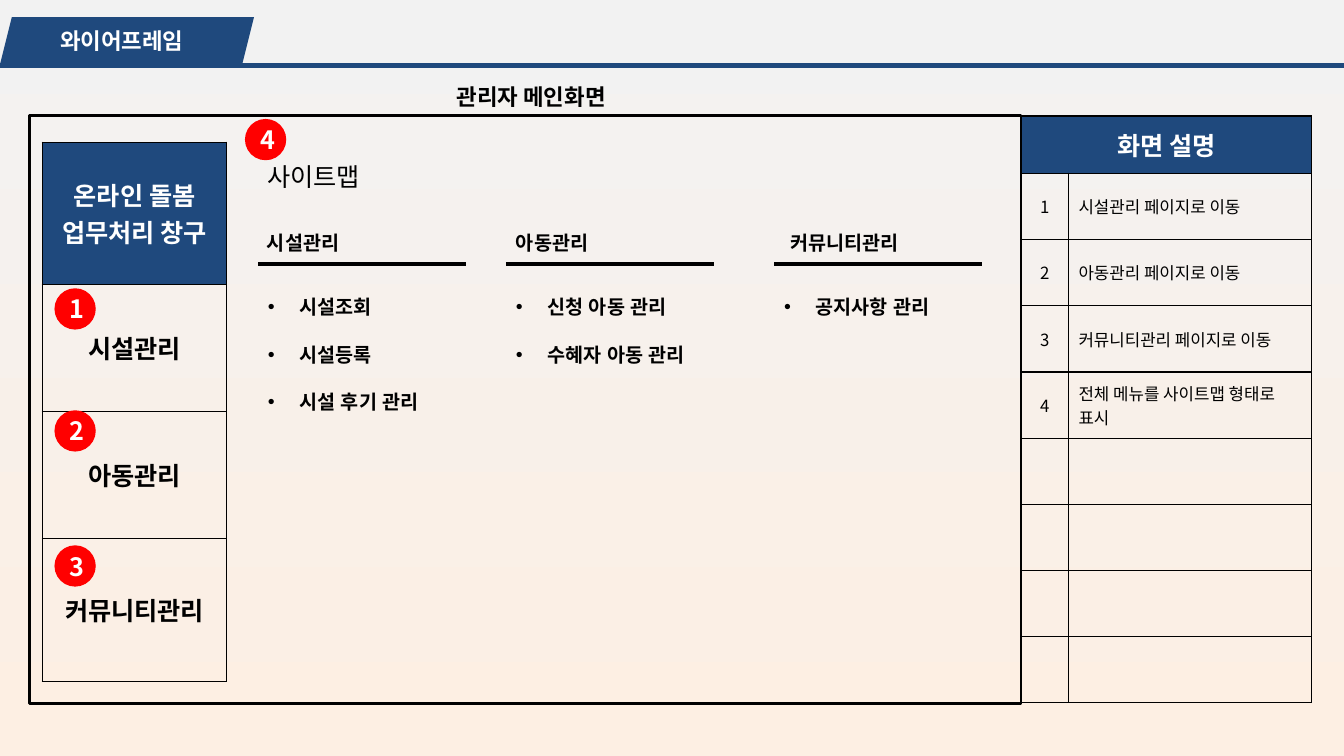
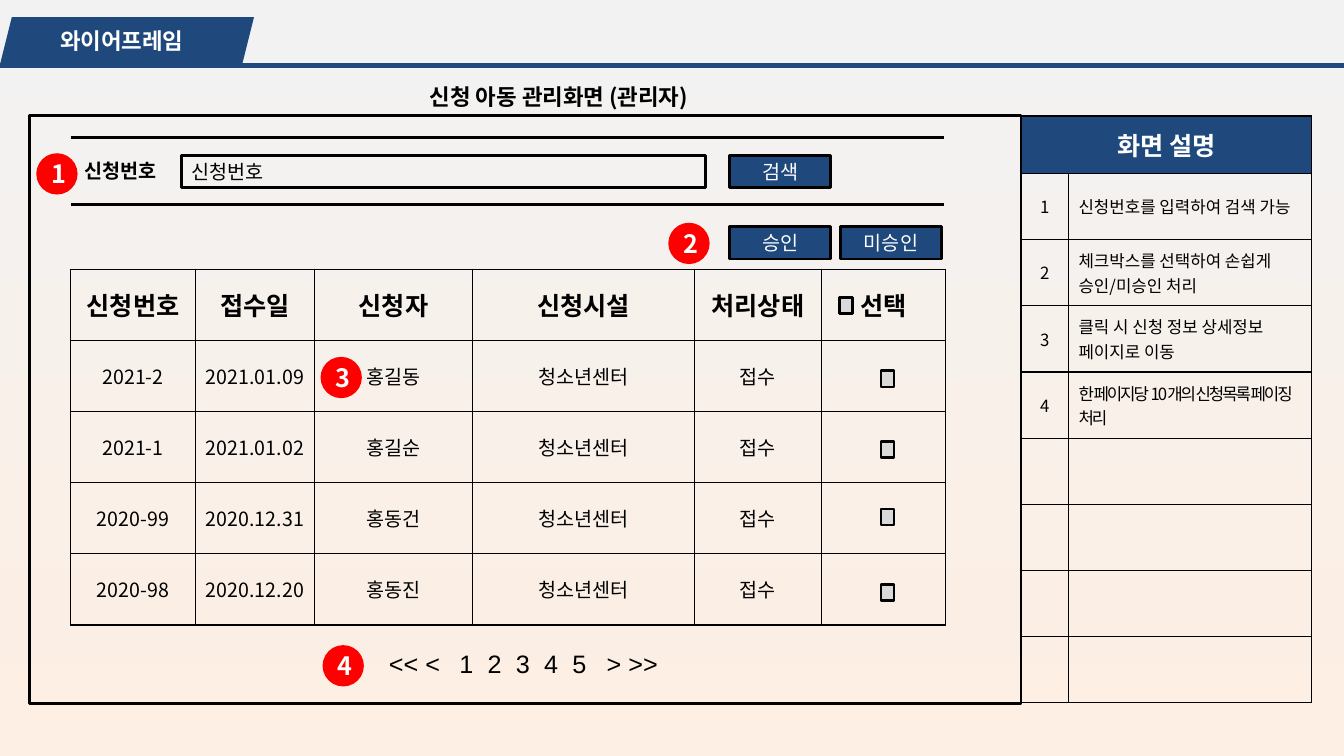
from dataclasses import dataclass
from typing import Any, Optional

import lxml.etree
import pptx
import pptx.dml.color
import pptx.enum.shapes
import pptx.enum.text
import pptx.oxml.ns
import pptx.util

# Colours, fonts and the grid of square cells (ten to the inch)
NAVY = pptx.dml.color.RGBColor(0x1F, 0x49, 0x7D)
RED = pptx.dml.color.RGBColor(0xFF, 0x00, 0x00)
BLACK = pptx.dml.color.RGBColor(0x00, 0x00, 0x00)
WHITE = pptx.dml.color.RGBColor(0xFF, 0xFF, 0xFF)
GREY = pptx.dml.color.RGBColor(0xD9, 0xD9, 0xD9)
SKY = pptx.dml.color.RGBColor(0xF2, 0xF2, 0xF2)
PEACH = pptx.dml.color.RGBColor(0xFD, 0xEF, 0xE3)
KOREAN = "Noto Sans CJK KR"
LATIN = "Arial"
COLUMNS, ROWS = 133.33, 75
TITLE_ONLY = 5

Color = pptx.dml.color.RGBColor
Preset = pptx.enum.shapes.MSO_SHAPE
Align = pptx.enum.text.PP_ALIGN
Anchor = pptx.enum.text.MSO_ANCHOR


@dataclass(frozen=True)
class Area:
    """A rectangle in grid cells."""
    left: float
    top: float
    width: float
    height: float


@dataclass(frozen=True)
class Badge:
    number: int
    left: float
    top: float


@dataclass(frozen=True)
class MenuColumn:
    heading: str
    left: float
    heading_left: float
    items: tuple[str, ...]


@dataclass(frozen=True)
class Screen:
    title: str
    title_width: float
    notes: tuple[str, ...]
    tight_note: Optional[int] = None


def cells(count: float) -> pptx.util.Length:
    return pptx.util.Inches(count / 10)


def place(area: Area) -> tuple[pptx.util.Length, ...]:
    return tuple(cells(v) for v in (area.left, area.top, area.width, area.height))


def child(parent: Any, tag: str, **attributes: str) -> Any:
    node = lxml.etree.SubElement(parent, pptx.oxml.ns.qn(tag))
    for name, value in attributes.items():
        node.set(name, value)
    return node


# Text
def write(para: Any, text: str, *, size: float = 18, color: Color = BLACK,
          bold: bool = False, font: str = KOREAN, align: Align = Align.CENTER,
          spacing: float = 0) -> None:
    para.alignment = align
    span = para.add_run()
    span.text = text
    span.font.size = pptx.util.Pt(size)
    span.font.bold = bold
    span.font.color.rgb = color
    span.font.name = font
    properties = span.font._element
    child(properties, "a:ea", typeface=font)
    if spacing:
        properties.set("spc", str(round(spacing * 100)))


def add_text(page: Any, area: Area, text: str, **style: Any) -> Any:
    box = page.shapes.add_textbox(*place(area))
    box.text_frame.word_wrap = True
    box.text_frame.vertical_anchor = Anchor.MIDDLE
    write(box.text_frame.paragraphs[0], text, **style)
    return box


# Shapes and lines
def add_block(page: Any, area: Area, *, preset: Preset = Preset.RECTANGLE,
              fill: Optional[Color] = None, outline: bool = True,
              text: str = "", **style: Any) -> Any:
    block = page.shapes.add_shape(preset, *place(area))
    block.shadow.inherit = False
    if fill is None:
        block.fill.background()
    else:
        block.fill.solid()
        block.fill.fore_color.rgb = fill
    if outline:
        block.line.color.rgb = BLACK
        block.line.width = pptx.util.Pt(2)
    else:
        block.line.fill.background()
    if text:
        block.text_frame.vertical_anchor = Anchor.MIDDLE
        write(block.text_frame.paragraphs[0], text, **style)
    return block


def add_rule(page: Any, left: float, top: float, width: float, *,
             color: Color = BLACK, weight: float = 2.25) -> None:
    rule = page.shapes.add_connector(
        pptx.enum.shapes.MSO_CONNECTOR.STRAIGHT,
        cells(left), cells(top), cells(left + width), cells(top))
    rule.line.color.rgb = color
    rule.line.width = pptx.util.Pt(weight)
    child(rule._element.spPr, "a:effectLst")


def add_badge(page: Any, badge: Badge) -> None:
    circle = add_block(page, Area(badge.left, badge.top, 4.1, 4.1), preset=Preset.OVAL,
                       fill=RED, outline=False, text=str(badge.number),
                       color=WHITE, bold=True)
    frame = circle.text_frame
    frame.margin_top = frame.margin_bottom = frame.margin_right = 0
    frame.margin_left = cells(0.4)


def add_button(page: Any, left: float, top: float, text: str) -> None:
    add_block(page, Area(left, top, 10, 3.2), fill=NAVY, text=text, size=14, color=WHITE)


# Tables
def add_grid(page: Any, left: float, top: float, widths: list[float],
             heights: list[float]) -> Any:
    area = Area(left, top, sum(widths), sum(heights))
    table = page.shapes.add_table(len(heights), len(widths), *place(area)).table
    table.first_row = table.horz_banding = False
    for column, width in zip(table.columns, widths):
        column.width = cells(width)
    for row, height in zip(table.rows, heights):
        row.height = cells(height)
    for cell in table.iter_cells():
        cell.vertical_anchor = Anchor.MIDDLE
        properties = cell._tc.get_or_add_tcPr()
        for side in ("a:lnL", "a:lnR", "a:lnT", "a:lnB"):
            border = child(properties, side, w=str(pptx.util.Pt(1)))
            child(child(border, "a:solidFill"), "a:srgbClr", val=str(BLACK))
        cell.fill.background()
    return table


def fill_cell(cell: Any, text: str, *, fill: Optional[Color] = None, **style: Any) -> None:
    if fill is not None:
        cell.fill.solid()
        cell.fill.fore_color.rgb = fill
    write(cell.text_frame.paragraphs[0], text, **style)


# Parts that every screen shares
def set_background(deck: Any) -> None:
    fill = deck.slide_master.background.fill
    fill.gradient()
    fill.gradient_angle = 270
    for stop, color, position in zip(fill.gradient_stops, (SKY, PEACH), (0, 1)):
        stop.color.rgb = color
        stop.position = position


def add_notes_table(page: Any, screen: Screen) -> None:
    table = add_grid(page, 101.3, 11.5, [4.7, 24.1], [5.7] + [6.57] * 8)
    table.cell(0, 0).merge(table.cell(0, 1))
    fill_cell(table.cell(0, 0), "화면 설명", fill=NAVY, color=WHITE, bold=True)
    for number, note in enumerate(screen.notes, start=1):
        fill_cell(table.cell(number, 0), str(number), size=12)
        fill_cell(table.cell(number, 1), note, size=12, align=Align.LEFT,
                  spacing=-1.5 if number == screen.tight_note else 0)


def add_screen(deck: Any, screen: Screen) -> Any:
    page = deck.slides.add_slide(deck.slide_layouts[TITLE_ONLY])
    title = page.shapes.title
    title.left, title.top, title.width, title.height = place(
        Area(40.4, 6.8, screen.title_width, 5.5))
    title.text_frame.vertical_anchor = Anchor.MIDDLE
    title.text_frame.auto_size = pptx.enum.text.MSO_AUTO_SIZE.NONE
    write(title.text_frame.paragraphs[0], screen.title, size=16, bold=True)

    tab = add_block(page, Area(0, 1.7, 25.2, 4.7), preset=Preset.PARALLELOGRAM,
                    fill=NAVY, outline=False, text="와이어프레임",
                    size=16, color=WHITE, bold=True)
    tab.text_frame.word_wrap = False
    tab.text_frame.margin_right = cells(2)
    add_rule(page, 0, 6.5, COLUMNS, color=NAVY, weight=3)
    add_block(page, Area(2.9, 11.5, 98.4, 58.3))
    add_notes_table(page, screen)
    return page


# Main screen of the administrator
def add_bullets(page: Any, area: Area, items: tuple[str, ...]) -> None:
    frame = page.shapes.add_textbox(*place(area)).text_frame
    frame.word_wrap = True
    for index, item in enumerate(items):
        para = frame.add_paragraph() if index else frame.paragraphs[0]
        write(para, item, size=14, bold=True, font=LATIN, align=Align.LEFT)
        para.space_after = pptx.util.Pt(17)
        properties = para._p.get_or_add_pPr()
        properties.set("marL", str(cells(3.1)))
        properties.set("indent", str(-cells(3.1)))
        child(properties, "a:buFont", typeface=LATIN)
        child(properties, "a:buChar", char="•")


def build_main(deck: Any) -> None:
    page = add_screen(deck, Screen("관리자 메인화면", 24.6, (
        "시설관리 페이지로 이동", "아동관리 페이지로 이동",
        "커뮤니티관리 페이지로 이동", "전체 메뉴를 사이트맵 형태로 표시")))

    menu = add_grid(page, 4.2, 14.1, [18.3], [14.1, 12.6, 12.6, 14.2])
    fill_cell(menu.cell(0, 0), "온라인 돌봄 업무처리 창구", fill=NAVY, color=WHITE, bold=True)
    for row, entry in enumerate(("시설관리", "아동관리", "커뮤니티관리"), start=1):
        fill_cell(menu.cell(row, 0), entry, bold=True)

    add_text(page, Area(24.9, 15.4, 12.4, 4.1), "사이트맵", font=LATIN)
    for column in (
        MenuColumn("시설관리", 25.6, 25.5, ("시설조회", "시설등록", "시설 후기 관리")),
        MenuColumn("아동관리", 50.2, 50.2, ("신청 아동 관리", "수혜자 아동 관리")),
        MenuColumn("커뮤니티관리", 76.8, 77.4, ("공지사항 관리",)),
    ):
        add_text(page, Area(column.heading_left, 22, 15.7, 4.1), column.heading,
                 size=14, bold=True, font=LATIN, align=Align.LEFT)
        add_rule(page, column.left, 26.2, 20.6)
        add_bullets(page, Area(column.left, 28.8, 20.5, 15.8), column.items)

    for badge in (Badge(1, 5.4, 28.6), Badge(2, 5.4, 40.7),
                  Badge(3, 5.4, 54.1), Badge(4, 24.3, 11.8)):
        add_badge(page, badge)


# Screen with the list of applications
def add_pager(page: Any) -> None:
    box = add_text(page, Area(37.6, 63.8, 32.8, 4.1), "<< <\t1\t2\t3\t4\t5\t> >>",
                   font=LATIN, align=Align.LEFT)
    stops = child(box.text_frame.paragraphs[0]._p.get_or_add_pPr(), "a:tabLst")
    for stop in [7 + 2.8 * step for step in range(5)] + [21.6]:
        child(stops, "a:tab", pos=str(cells(stop)), algn="l")


def build_applications(deck: Any) -> None:
    page = add_screen(deck, Screen("신청 아동 관리화면 (관리자)", 30.1, (
        "신청번호를 입력하여 검색 가능", "체크박스를 선택하여 손쉽게 승인/미승인 처리",
        "클릭 시 신청 정보 상세정보 페이지로 이동",
        "한 페이지당 10개의 신청목록 페이징 처리"), tight_note=4))

    # Search bar
    for top in (13.6, 20.3):
        add_rule(page, 7, top, 86.7)
    add_text(page, Area(7.4, 14.9, 10.6, 4.1), "신청번호", size=14, bold=True,
             font=LATIN, align=Align.LEFT)
    add_block(page, Area(18, 15.4, 52, 3.2), text="신청번호", size=14, align=Align.LEFT)
    add_button(page, 72.4, 15.4, "검색")
    add_button(page, 72.4, 22.5, "승인")
    add_button(page, 83.4, 22.5, "미승인")

    # Applications
    table = add_grid(page, 7, 26.7, [12.4, 11.8, 15.7, 22, 12.6, 12.3], [7.06] * 5)
    headings = ("신청번호", "접수일", "신청자", "신청시설", "처리상태", "선택")
    applicants = (("2021-2", "2021.01.09", "홍길동"), ("2021-1", "2021.01.02", "홍길순"),
                  ("2020-99", "2020.12.31", "홍동건"), ("2020-98", "2020.12.20", "홍동진"))
    for column, heading in enumerate(headings):
        fill_cell(table.cell(0, column), heading, bold=True)
    for row, applicant in enumerate(applicants, start=1):
        for column, value in enumerate((*applicant, "청소년센터", "접수")):
            fill_cell(table.cell(row, column), value, size=14)

    # Checkboxes: one in the heading, one for each application
    for left, top in ((83.3, 29.5), *((87.4, top) for top in (36.8, 43.8, 50.5, 58))):
        add_block(page, Area(left, top, 1.3, 1.6), fill=GREY)

    add_pager(page)
    for badge in (Badge(1, 3.6, 15.2), Badge(2, 66.3, 22.1),
                  Badge(3, 31.8, 35.4), Badge(4, 32, 64)):
        add_badge(page, badge)


def main() -> None:
    deck = pptx.Presentation()
    deck.slide_width, deck.slide_height = cells(COLUMNS), cells(ROWS)
    set_background(deck)
    build_main(deck)
    build_applications(deck)
    deck.save("out.pptx")


if __name__ == "__main__":
    main()
